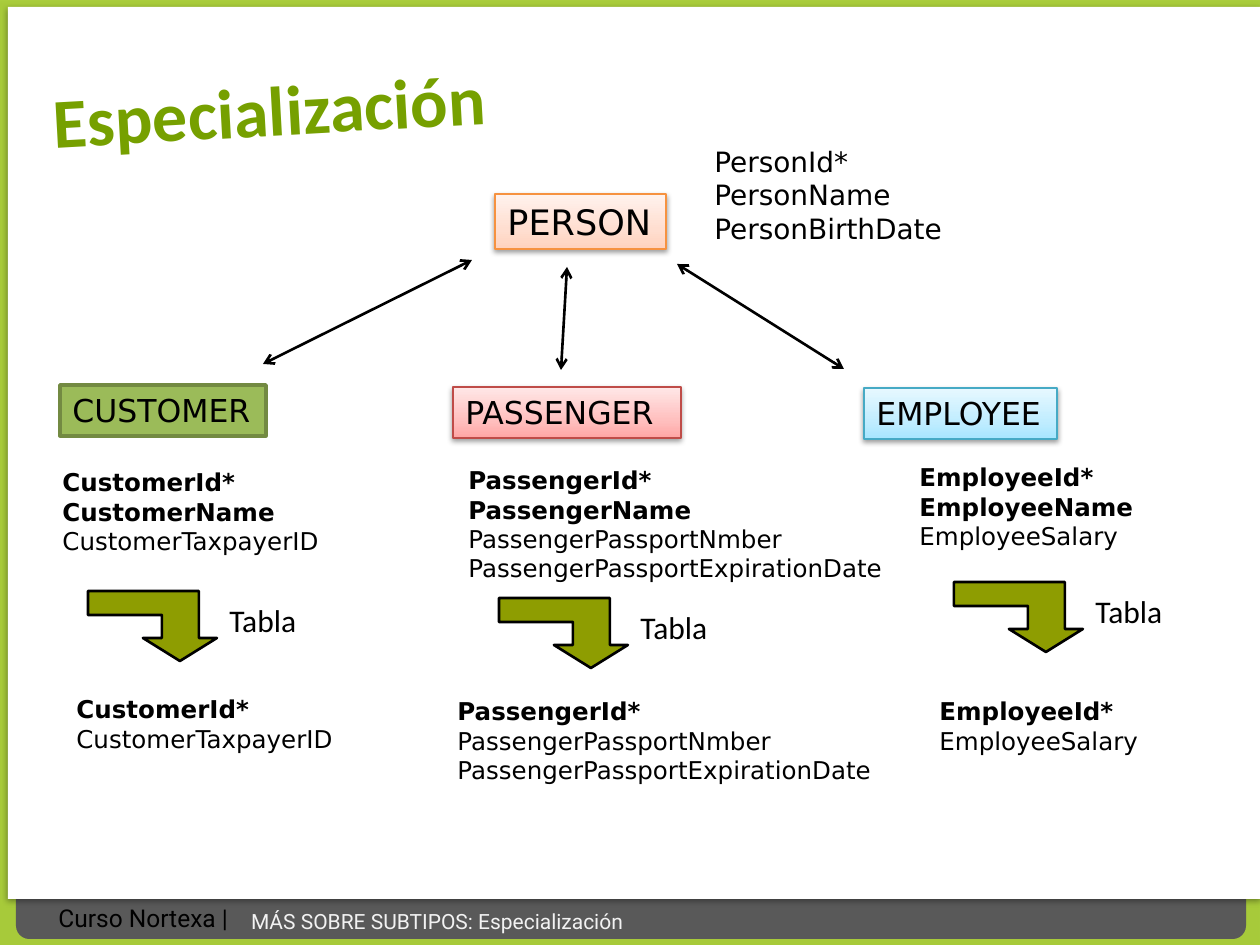
import copy

import lxml.etree
import pptx
import pptx.dml.color
import pptx.enum.shapes
import pptx.enum.text
import pptx.oxml.ns
import pptx.util

EMU_PER_PX = 914400 / 126
SHAPES = pptx.enum.shapes.MSO_SHAPE
ANCHOR = pptx.enum.text.MSO_ANCHOR
AUTO_SIZE = pptx.enum.text.MSO_AUTO_SIZE
qn = pptx.oxml.ns.qn


def px(length):
    return pptx.util.Emu(round(length * EMU_PER_PX))


def color(value):
    return pptx.dml.color.RGBColor.from_string(value)


def set_values(target, values):
    for name, value in values.items():
        setattr(target, name, value)


class SlideBuilder:
    BODY_FONT = "DejaVu Sans"
    TITLE_FONT = "Calibri"
    FOOTER_FONT = "Roboto"
    BLACK = "000000"
    ARROW_FILL = "8E9D01"
    # Bent arrow outline, measured from its top left corner
    BENT_ARROW = [(0, 0), (111, 0), (111, 47), (129, 47), (92, 70),
                  (55, 47), (74, 47), (74, 24), (0, 24)]

    def __init__(self, slide):
        self.slide = slide
        self.shapes = slide.shapes

    def fill_text(self, shape, lines, size, font=BODY_FONT, ink=BLACK, bold_lines=0,
                  wrap=True, grow=True, anchor=ANCHOR.TOP, inset=True):
        frame = shape.text_frame
        side, end = (pptx.util.Inches(0.1), pptx.util.Inches(0.05)) if inset else (0, 0)
        set_values(frame, {
            "text": "\n".join(lines),
            "word_wrap": wrap,
            "auto_size": AUTO_SIZE.SHAPE_TO_FIT_TEXT if grow else AUTO_SIZE.NONE,
            "vertical_anchor": anchor,
            "margin_left": side, "margin_right": side,
            "margin_top": end, "margin_bottom": end,
        })
        for index, para in enumerate(frame.paragraphs):
            para.alignment = pptx.enum.text.PP_ALIGN.LEFT
            set_values(para.font, {"name": font, "size": pptx.util.Pt(size),
                                   "bold": index < bold_lines})
            para.font.color.rgb = color(ink)

    def shadow(self, shape, opacity):
        effects = shape._element.spPr.find(qn("a:effectLst"))
        outer = lxml.etree.SubElement(effects, qn("a:outerShdw"), blurRad="39370",
                                      dist="21590", dir="5400000", rotWithShape="0")
        ink = lxml.etree.SubElement(outer, qn("a:srgbClr"), val=self.BLACK)
        lxml.etree.SubElement(ink, qn("a:alpha"), val=str(opacity * 1000))

    def panel(self, bounds, fill, kind=SHAPES.RECTANGLE, line=None, width=0.75,
              shadow=0, alpha=None):
        shape = self.shapes.add_shape(kind, *map(px, bounds))
        shape.shadow.inherit = False
        if isinstance(fill, str):
            shape.fill.solid()
            shape.fill.fore_color.rgb = color(fill)
            if alpha:
                ink = shape._element.spPr.find(".//" + qn("a:srgbClr"))
                lxml.etree.SubElement(ink, qn("a:alpha"), val=str(alpha * 1000))
        else:
            self.gradient(shape, fill)
        if line:
            shape.line.color.rgb = color(line)
            shape.line.width = pptx.util.Pt(width)
        else:
            shape.line.fill.background()
        if shadow:
            self.shadow(shape, shadow)
        return shape

    def gradient(self, shape, colors):
        shape.fill.gradient()
        shape.fill.gradient_angle = 90
        stop_list = shape._element.spPr.find(".//" + qn("a:gsLst"))
        stop_list.append(copy.deepcopy(stop_list[0]))
        for stop, place, value in zip(shape.fill.gradient_stops, (0, 0.35, 1), colors):
            stop.position = place
            stop.color.rgb = color(value)

    def text(self, bounds, lines, size, **style):
        box = self.shapes.add_textbox(*map(px, bounds))
        self.fill_text(box, lines, size, **style)

    def title(self, bounds, text, rotation):
        title = self.shapes.title
        set_values(title, dict(zip(("left", "top", "width", "height"), map(px, bounds))))
        title.rotation = rotation
        self.fill_text(title, [text], 40, font=self.TITLE_FONT, ink="76A000", bold_lines=1)
        title._element.getparent().append(title._element)  # above the panels

    def double_arrow(self, start, end):
        line = self.shapes.add_connector(pptx.enum.shapes.MSO_CONNECTOR.STRAIGHT,
                                         *map(px, start + end))
        line.line.color.rgb = color(self.BLACK)
        line.line.width = pptx.util.Pt(1.5)
        outline = line._element.spPr.find(qn("a:ln"))
        for tip in ("a:headEnd", "a:tailEnd"):
            lxml.etree.SubElement(outline, qn(tip), type="arrow")
        lxml.etree.SubElement(line._element.spPr, qn("a:effectLst"))

    def table_arrow(self, left, top):
        points = [(left + x, top + y) for x, y in self.BENT_ARROW]
        builder = self.shapes.build_freeform(*points[0], scale=EMU_PER_PX)
        builder.add_line_segments(points[1:], close=True)
        arrow = builder.convert_to_shape()
        arrow.shadow.inherit = False
        arrow.fill.solid()
        arrow.fill.fore_color.rgb = color(self.ARROW_FILL)
        arrow.line.color.rgb = color(self.BLACK)
        arrow.line.width = pptx.util.Pt(1.5)
        self.text((left + 129, top + 4, 95, 52), ["Tabla"], 18, font=self.TITLE_FONT)


def main():
    deck = pptx.Presentation()
    deck.slide_width, deck.slide_height = px(1260), px(945)
    page = SlideBuilder(deck.slides.add_slide(deck.slide_layouts[5]))

    # Frame and footer
    page.panel((-4, -3, 1269, 960), "A6CE2A", shadow=35, alpha=88)
    page.panel((16, 859, 1230, 80), "595959", kind=SHAPES.ROUNDED_RECTANGLE)
    page.panel((8, 7, 1252, 892), "FFFFFF", shadow=35)
    page.text((46, 897, 202, 43), ["Curso Nortexa |"], 14, font=page.FOOTER_FONT)
    page.text((251, 900, 537, 42), ["MÁS SOBRE SUBTIPOS: Especialización"], 12,
              font=page.FOOTER_FONT, ink="F2F2F2", grow=False,
              anchor=ANCHOR.MIDDLE, inset=False)
    page.title((40, 54, 670, 97), "Especialización", 356.8)

    # Entity boxes
    entities = [
        ("PERSON", (495, 194, 171, 55), 20, ("FFD2BD", "FFDED0", "FFF2ED"), "F69240"),
        ("CUSTOMER", (60, 385, 206, 51), 18, "9BBB59", "738A42"),
        ("PASSENGER", (453, 387, 228, 51), 18, ("FFA6A5", "FFC0BF", "FFE7E7"), "BF4C48"),
        ("EMPLOYEE", (864, 388, 193, 51), 18, ("A7E6FF", "C1EDFF", "E7F8FF"), "46AAC5"),
    ]
    for name, bounds, size, fill, line in entities:
        flat = isinstance(fill, str)
        box = page.panel(bounds, fill, line=line, width=2 if flat else 0.75,
                         shadow=0 if flat else 38)
        page.fill_text(box, [name], size, wrap=name == "PASSENGER")

    # Links from the person to its subtypes
    for start, end in [((263, 364), (472, 260)), ((561, 370), (567, 267)),
                       ((844, 369), (677, 264))]:
        page.double_arrow(start, end)

    # Attributes of each entity, and of the table it leads to
    page.text((702, 138, 324, 115), ["PersonId*", "PersonName", "PersonBirthDate"], 16)
    subtypes = [
        ("Customer", ["TaxpayerID"], (50, 461, 324), (64, 688, 324), (88, 591)),
        ("Passenger", ["PassportNmber", "PassportExpirationDate"],
         (456, 459, 495), (445, 690, 475), (499, 598)),
        ("Employee", ["Salary"], (907, 456, 311), (927, 690, 311), (954, 582)),
    ]
    for name, own, entity_at, table_at, arrow_at in subtypes:
        own_lines = [name + suffix for suffix in own]
        for (left, top, width), keys in ((entity_at, ["Id*", "Name"]), (table_at, ["Id*"])):
            lines = [name + key for key in keys] + own_lines
            page.text((left, top, width, 13 + 30 * len(lines)), lines, 14,
                      bold_lines=len(keys))
        page.table_arrow(*arrow_at)

    deck.save("out.pptx")


if __name__ == "__main__":
    main()
